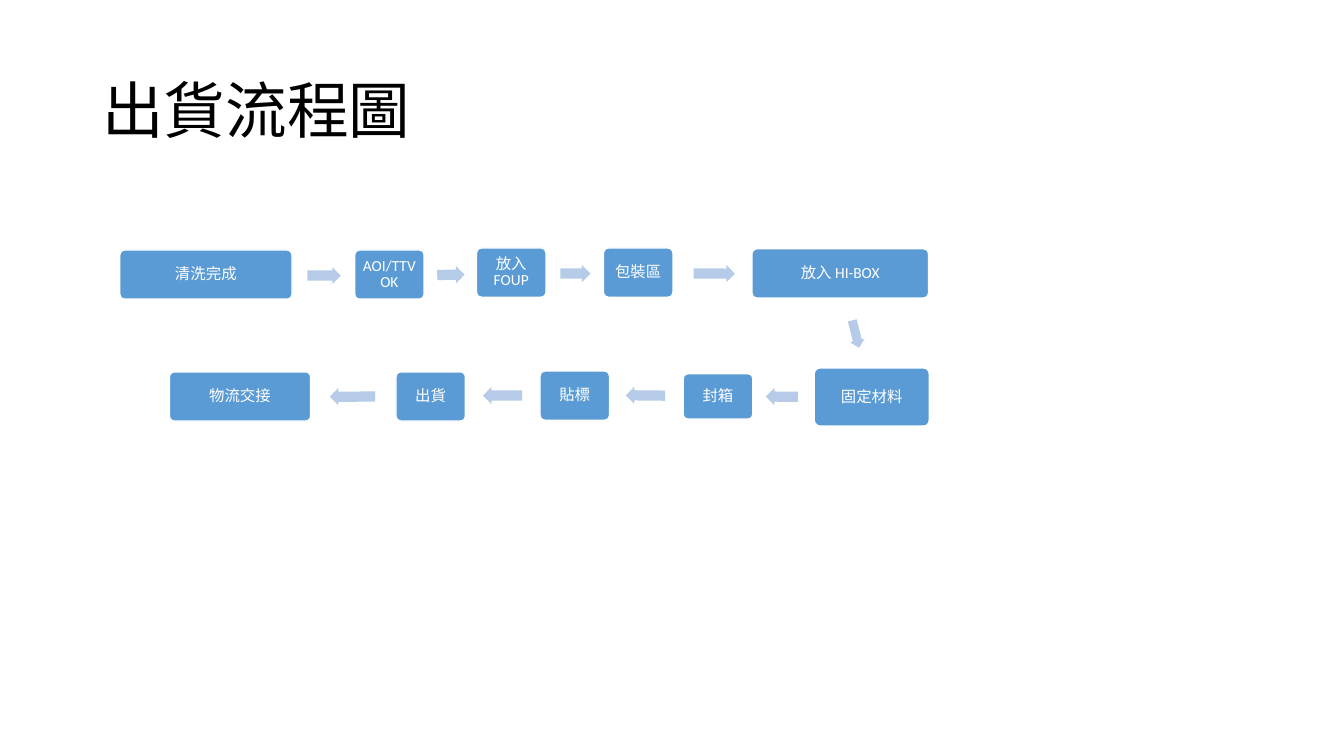
"""Build the shipping process flow slide."""
from pptx import Presentation
from pptx.dml.color import RGBColor
from pptx.enum.shapes import MSO_SHAPE
from pptx.enum.text import MSO_ANCHOR, PP_ALIGN
from pptx.util import Cm, Pt

ROUNDED = MSO_SHAPE.ROUNDED_RECTANGLE
ARROW = MSO_SHAPE.RIGHT_ARROW
MIDDLE = MSO_ANCHOR.MIDDLE
LEFT, CENTER = PP_ALIGN.LEFT, PP_ALIGN.CENTER

STEPS = [
    ("清洗完成", 3.02, 6.3, 4.34, 1.24),
    ("AOI/TTV OK", 8.94, 6.3, 1.75, 1.24),
    ("放入 FOUP", 12.01, 6.25, 1.75, 1.24),
    ("包裝區", 15.21, 6.25, 1.75, 1.24),
    ("放入 HI-BOX", 18.95, 6.27, 4.45, 1.24),
    ("固定材料", 20.52, 9.27, 2.9, 1.47),
    ("封箱", 17.22, 9.42, 1.75, 1.14),
    ("貼標", 13.61, 9.35, 1.75, 1.24),
    ("出貨", 9.98, 9.37, 1.75, 1.24),
    ("物流交接", 4.27, 9.37, 3.56, 1.24),
]
ARROWS = [
    (7.75, 6.73, 0.84, 0.43, 0),
    (11.02, 6.71, 0.69, 0.43, 359),
    (14.12, 6.68, 0.76, 0.43, 0),
    (17.48, 6.68, 1.04, 0.43, 0.2),
    (21.21, 8.23, 0.71, 0.38, 75.9),
    (19.3, 9.78, 0.81, 0.43, 180.3),
    (15.77, 9.75, 0.99, 0.43, 180.6),
    (12.17, 9.75, 0.99, 0.43, 179.6),
    (8.31, 9.78, 1.14, 0.43, 179.8),
]


def rgb(value):
    return RGBColor.from_string(value)


def write(sp, text, size, color, align):
    tf = sp.text_frame
    tf.word_wrap = True
    tf.vertical_anchor = MIDDLE
    tf.text = text
    p = tf.paragraphs[0]
    p.alignment = align
    p.line_spacing = 0.9
    r = p.runs[0]
    r.font.name = "Calibri"
    r.font.size = Pt(size)
    r.font.color.rgb = rgb(color)


prs = Presentation()
prs.slide_width, prs.slide_height = Cm(33.87), Cm(19.05)
s = prs.slides.add_slide(prs.slide_layouts[6])

title = s.shapes.add_textbox(Cm(2.33), Cm(1.01), Cm(29.21), Cm(3.68))
write(title, "出貨流程圖", 44, "000000", LEFT)

for text, x, y, w, h in STEPS:
    sp = s.shapes.add_shape(ROUNDED, Cm(x), Cm(y), Cm(w), Cm(h))
    sp.adjustments[0] = 0.1
    sp.shadow.inherit = False
    sp.fill.solid()
    sp.fill.fore_color.rgb = rgb("5B9BD5")
    sp.line.color.rgb = rgb("FFFFFF")
    sp.line.width = Pt(1)
    tf = sp.text_frame
    tf.margin_left = tf.margin_right = tf.margin_top = tf.margin_bottom = Cm(0.13)
    write(sp, text, 11, "FFFFFF", CENTER)

for x, y, w, h, angle in ARROWS:
    sp = s.shapes.add_shape(ARROW, Cm(x), Cm(y), Cm(w), Cm(h))
    sp.adjustments[0] = 0.6
    sp.adjustments[1] = 0.5
    sp.rotation = angle
    sp.shadow.inherit = False
    sp.fill.solid()
    sp.fill.fore_color.rgb = rgb("B5CBE7")
    sp.line.fill.background()

prs.save("out.pptx")
